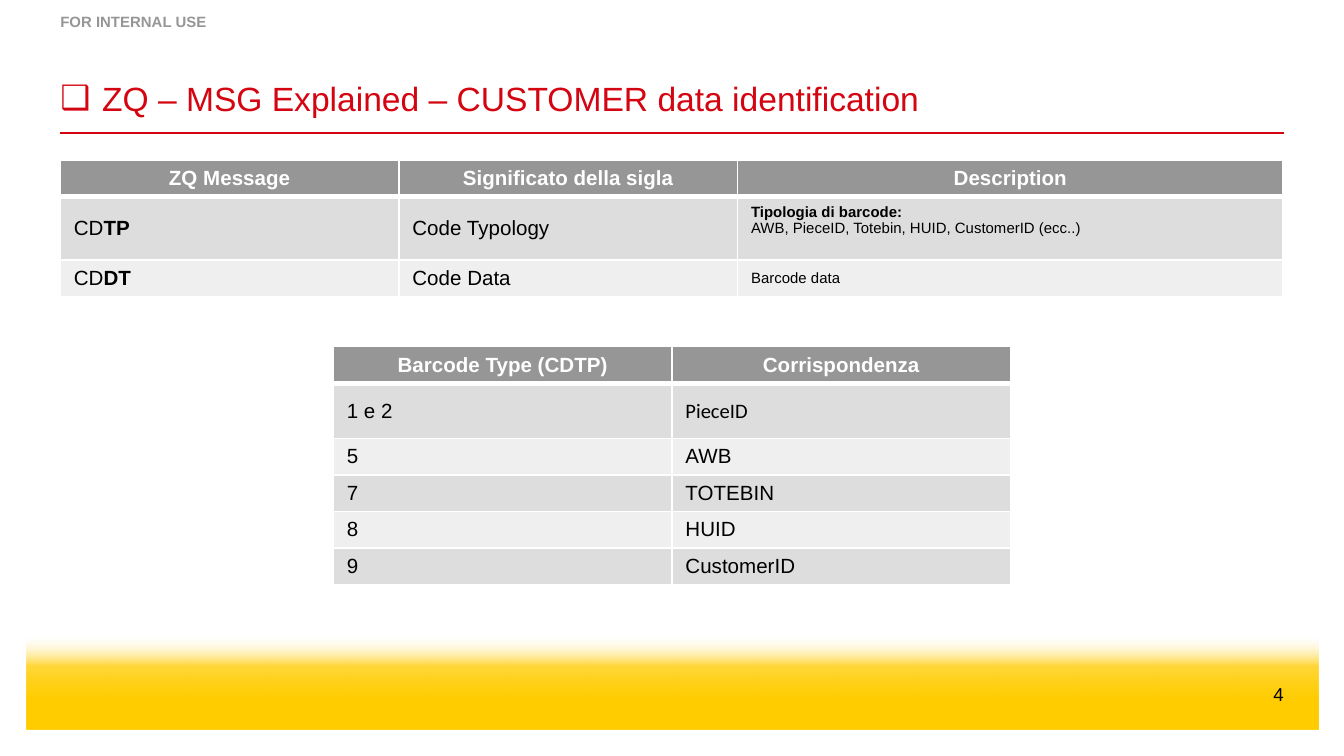
from lxml import etree
from pptx import Presentation
from pptx.dml.color import RGBColor
from pptx.enum import shapes, text
from pptx.oxml import parse_xml
from pptx.oxml.ns import nsdecls, qn
from pptx.util import Cm, Pt

COLORS = {"red": "D40511", "yellow": "FFCC00", "gray": "969696", "dark": "DDDDDD",
          "light": "EFEFEF", "white": "FFFFFF", "black": "000000"}
LEFT, RIGHT = 1.14, 24.26


def write(paragraph, content, size=11, color="black", bold=False, font="Arial", align=text.PP_ALIGN.LEFT):
    paragraph.alignment = align
    run = paragraph.add_run()
    run.text = content
    run.font.size = Pt(size)
    run.font.name = font
    run.font.bold = bold
    run.font.color.rgb = RGBColor.from_string(COLORS[color])


def add_table(left, top, widths, heights, rows):
    """Each cell is a string or a list of paragraphs, each a list of (text, format) runs."""
    table = slide.shapes.add_table(len(rows), len(widths), Cm(left), Cm(top),
                                   Cm(sum(widths)), Cm(sum(heights))).table
    for column, width in zip(table.columns, widths):
        column.width = Cm(width)
    for r, row in enumerate(rows):
        table.rows[r].height = Cm(heights[r])
        for c, value in enumerate(row):
            cell = table.cell(r, c)
            fill = "gray" if r == 0 else "dark" if r % 2 else "light"
            cell.fill.solid()
            cell.fill.fore_color.rgb = RGBColor.from_string(COLORS[fill])
            cell.vertical_anchor = text.MSO_ANCHOR.MIDDLE
            header = {"color": "white", "bold": True, "align": text.PP_ALIGN.CENTER} if r == 0 else {}
            paragraphs = [[(value, header)]] if isinstance(value, str) else value
            if len(paragraphs) > 1:
                cell.vertical_anchor = text.MSO_ANCHOR.TOP
            for i, runs in enumerate(paragraphs):
                paragraph = cell.text_frame.add_paragraph() if i else cell.text_frame.paragraphs[0]
                for content, style in runs:
                    write(paragraph, content, **style)
            for i, side in enumerate(("L", "R", "T", "B")):
                thick = (r == 0 and side == "B") or (r == 1 and side == "T")
                border = parse_xml(
                    f'<a:ln{side} {nsdecls("a")} w="{Pt(3 if thick else 1)}"><a:solidFill>'
                    f'<a:srgbClr val="{COLORS["white"]}"/></a:solidFill></a:ln{side}>')
                cell._tc.get_or_add_tcPr().insert(i, border)


presentation = Presentation()
presentation.slide_width, presentation.slide_height = Cm(25.4), Cm(14.29)
slide = presentation.slides.add_slide(presentation.slide_layouts[5])

# Yellow band fading to white at the top
band = slide.shapes.add_shape(shapes.MSO_SHAPE.RECTANGLE, Cm(0.51), Cm(11.99), Cm(24.41), Cm(1.8))
band.shadow.inherit = False
band.line.fill.background()
band.fill.gradient()
band.fill.gradient_angle = 270
stops = band.fill._fill._gradFill.find(qn("a:gsLst"))
for stop in list(stops):
    stops.remove(stop)
for position, color, alpha in ((0, "white", 0), (33, "yellow", 77), (50, "yellow", 90),
                               (69, "yellow", 100), (100, "yellow", 100)):
    stops.append(parse_xml(
        f'<a:gs {nsdecls("a")} pos="{position * 1000}"><a:srgbClr val="{COLORS[color]}">'
        f'<a:alpha val="{alpha * 1000}"/></a:srgbClr></a:gs>'))

# Rule under the title
rule = slide.shapes.add_connector(shapes.MSO_CONNECTOR.STRAIGHT, Cm(LEFT), Cm(2.51), Cm(RIGHT), Cm(2.51))
rule.line.color.rgb = RGBColor.from_string(COLORS["red"])
rule.line.width = Pt(1)
etree.SubElement(rule._element.spPr, qn("a:effectLst"))

# Title, classification label and page number
title = slide.shapes.title
title.left, title.top, title.width, title.height = Cm(LEFT), Cm(0.53), Cm(23.09), Cm(1.7)
label = slide.shapes.add_textbox(Cm(LEFT), Cm(0), Cm(2.79), Cm(0.58))
number = slide.shapes.add_textbox(Cm(23.24), Cm(12.9), Cm(1.02), Cm(0.43))
for shape, anchor, inset, wrap, content, style in (
    (title, text.MSO_ANCHOR.BOTTOM, 0, True, "ZQ – MSG Explained – CUSTOMER data identification",
     {"size": 18, "color": "red"}),
    (label, text.MSO_ANCHOR.TOP, 0.23, False, "FOR INTERNAL USE",
     {"size": 8, "color": "gray", "bold": True}),
    (number, text.MSO_ANCHOR.BOTTOM, 0, True, "4", {"size": 10, "align": text.PP_ALIGN.RIGHT}),
):
    frame = shape.text_frame
    frame.margin_left = frame.margin_right = frame.margin_bottom = 0
    frame.margin_top = Cm(inset)
    frame.vertical_anchor = anchor
    frame.word_wrap = wrap
    frame.auto_size = text.MSO_AUTO_SIZE.NONE
    write(frame.paragraphs[0], content, **style)

heading = title.text_frame.paragraphs[0]
heading.space_before = Pt(12)
properties = heading._p.get_or_add_pPr()
properties.set("marL", str(Cm(0.79)))
properties.set("indent", str(-Cm(0.79)))
etree.SubElement(properties, qn("a:buFont")).set("typeface", "Arial")
etree.SubElement(properties, qn("a:buChar")).set("char", "❑")

# Tables
BOLD, SMALL = {"bold": True}, {"size": 8}
add_table(6.3, 6.55, [6.4, 6.4], [0.7, 1.04] + [0.69] * 4, [
    ["Barcode Type (CDTP)", "Corrispondenza"],
    ["1 e 2", [[("PieceID", {"font": "Calibri"})]]],
    ["5", "AWB"],
    ["7", "TOTEBIN"],
    ["8", "HUID"],
    ["9", "CustomerID"],
])
add_table(LEFT, 3.02, [6.4, 6.4, 10.31], [0.7, 1.2, 0.7], [
    ["ZQ Message", "Significato della sigla", "Description"],
    [[[("CD", {}), ("TP", BOLD)]], "Code Typology",
     [[("Tipologia di barcode:", {**SMALL, **BOLD})],
      [("AWB, PieceID, Totebin, HUID, CustomerID (ecc..)", SMALL)]]],
    [[[("CD", {}), ("DT", BOLD)]], "Code Data", [[("Barcode data", SMALL)]]],
])

presentation.save("out.pptx")
